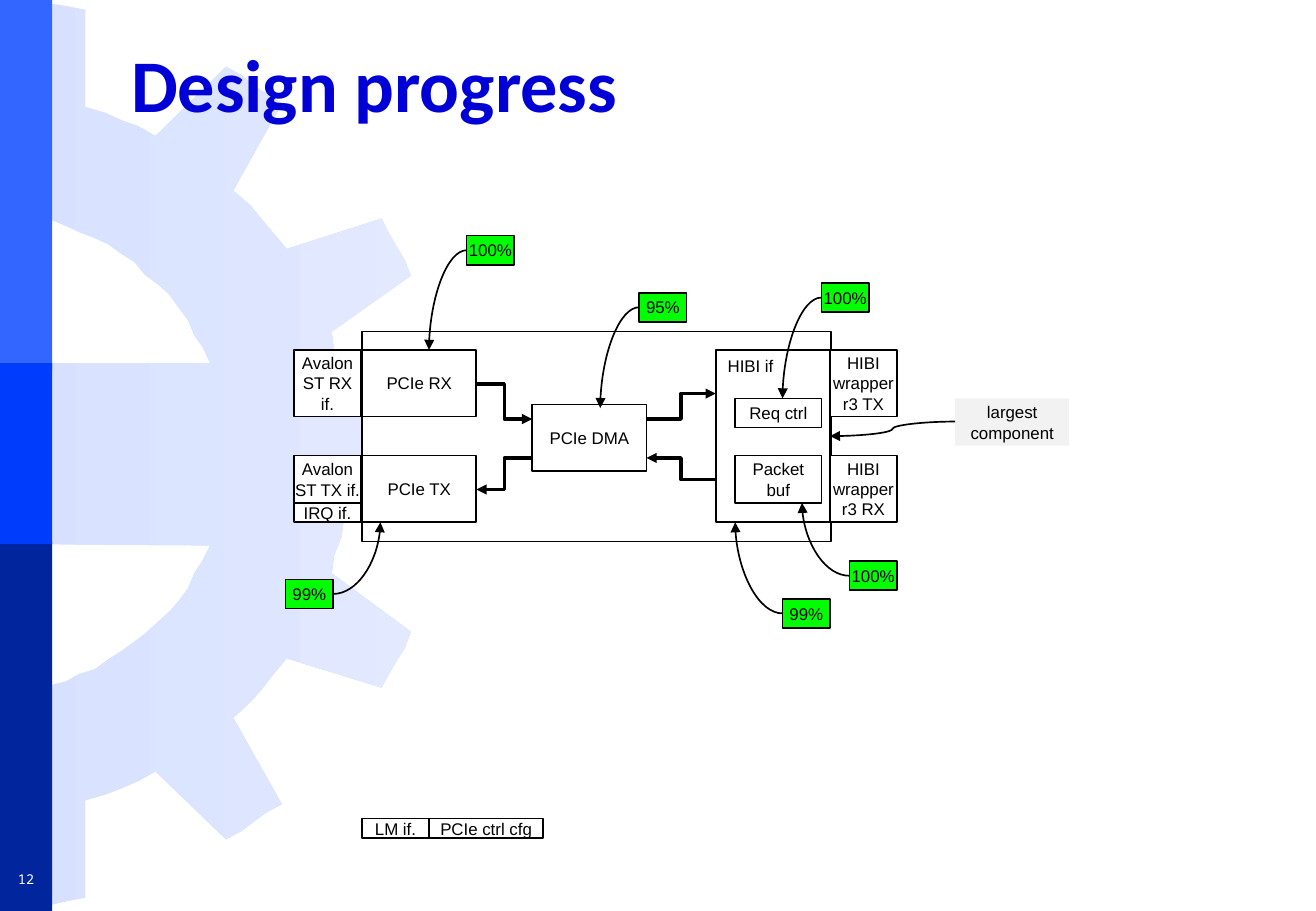
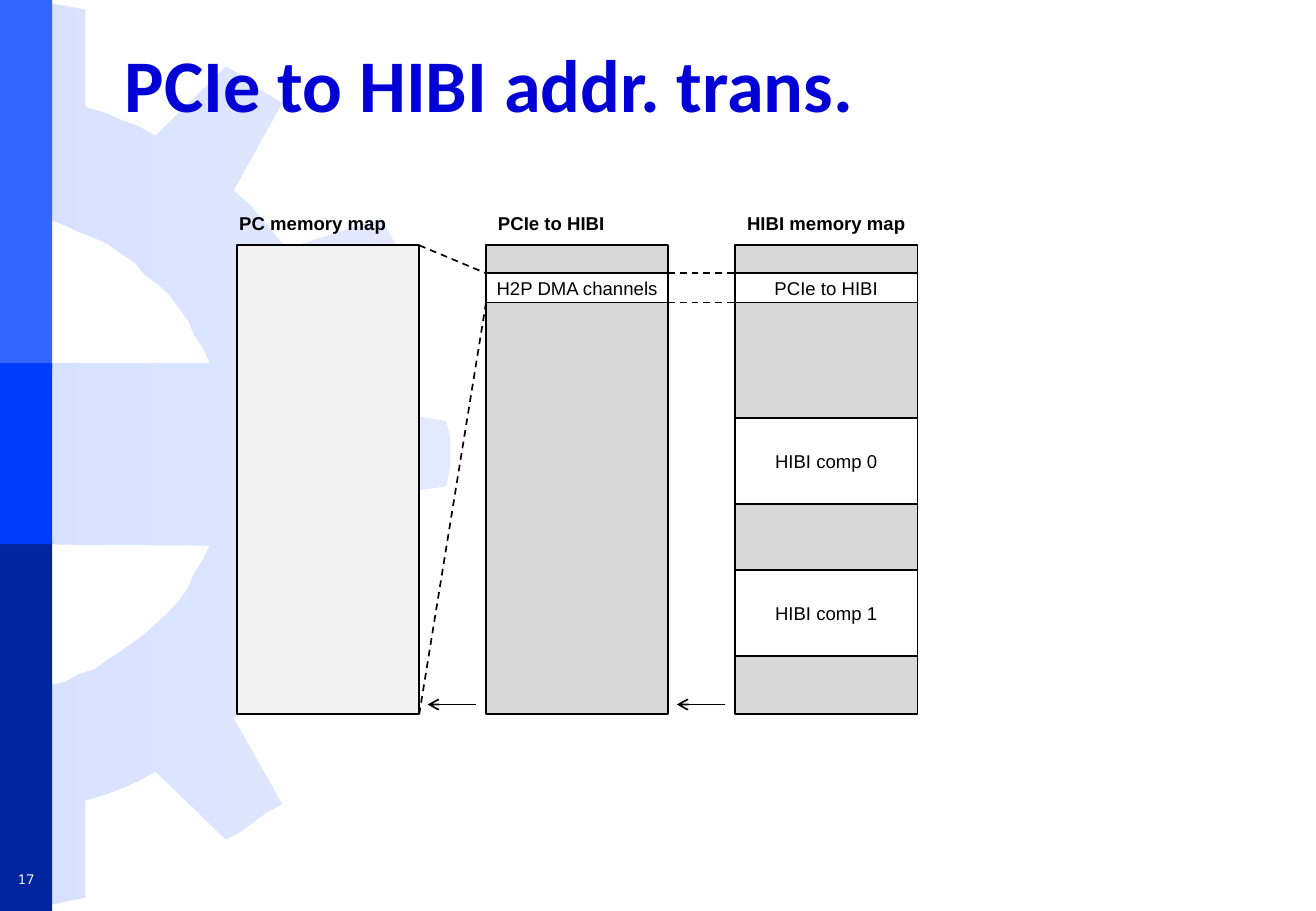
from dataclasses import dataclass

from lxml.etree import SubElement
from pptx import Presentation
from pptx.dml.color import RGBColor
from pptx.enum.dml import MSO_LINE
from pptx.enum.shapes import MSO_CONNECTOR, MSO_SHAPE
from pptx.enum.text import MSO_ANCHOR as Anchor, PP_ALIGN as Align
from pptx.oxml.ns import qn
from pptx.util import Pt

PX = 9144  # EMU in one px: 100 px to the inch


@dataclass(frozen=True)
class Theme:
    black: str = "000000"
    white: str = "FFFFFF"
    title: str = "0000D6"
    band_top: str = "3366FF"
    band_middle: str = "003CFC"
    band_bottom: str = "00259C"
    gear_left: str = "D7E1FF"
    gear_right: str = "E3EAFF"
    done: str = "00FF00"
    pale: str = "F2F2F2"
    grey: str = "D9D9D9"
    body_font: str = "Arial"
    title_font: str = "Calibri"
    number_font: str = "Noto Sans Mono"
    title_size: int = 44
    map_size: int = 11
    block_size: int = 10
    number_size: int = 8


theme = Theme()


def add_box(slide, text, at, fill=None, line=None, size=theme.block_size, font=theme.body_font,
            color=theme.black, bold=False, align=Align.CENTER, anchor=Anchor.MIDDLE,
            inset=(10, 5), wrap=True):
    """Add a rectangle with text; without fill and line it is a text box."""
    bounds = [value * PX for value in at]
    if fill or line:
        shape = slide.shapes.add_shape(MSO_SHAPE.RECTANGLE, *bounds)
        shape.shadow.inherit = False
        shape.fill.solid()
        shape.fill.fore_color.rgb = RGBColor.from_string(fill)
        if line:
            shape.line.color.rgb = RGBColor.from_string(line)
            shape.line.width = Pt(1)
        else:
            shape.line.fill.background()
    else:
        shape = slide.shapes.add_textbox(*bounds)
    if not text:
        return
    frame = shape.text_frame
    frame.word_wrap = wrap
    frame.vertical_anchor = anchor
    frame.margin_left = frame.margin_right = inset[0] * PX
    frame.margin_top = frame.margin_bottom = inset[1] * PX
    paragraph = frame.paragraphs[0]
    paragraph.alignment = align
    run = paragraph.add_run()
    run.text = text
    run.font.name = font
    run.font.size = Pt(size)
    run.font.bold = bold
    run.font.color.rgb = RGBColor.from_string(color)


def add_line(slide, start, end, preset="line", width=1, head=None, dashed=False):
    """Add a connector of the given preset, with an optional arrowhead at its end."""
    connector = slide.shapes.add_connector(
        MSO_CONNECTOR.STRAIGHT, *[value * PX for value in (*start, *end)])
    connector.line.color.rgb = RGBColor.from_string(theme.black)
    connector.line.width = Pt(width)
    if dashed:
        connector.line.dash_style = MSO_LINE.DASH
    properties = connector._element.spPr
    properties.find(qn("a:prstGeom")).set("prst", preset)
    if end[0] < start[0]:  # a half turn in place of the horizontal flip
        transform = properties.find(qn("a:xfrm"))
        transform.attrib.pop("flipH", None)
        transform.set("rot", "10800000")
        transform.set("flipV", "1" if end[1] > start[1] else "0")
    if head:
        SubElement(properties.find(qn("a:ln")), qn("a:tailEnd"), type=head)
    SubElement(properties, qn("a:effectLst"))


presentation = Presentation()
presentation.slide_width = 1083 * PX
presentation.slide_height = 750 * PX

# Shared parts: gear, side bands, title, slide number
gear = [
    (173, 299), (0, 299), (0, 448), (173, 449), (167, 461), (160, 472), (155, 484), (147, 495),
    (139, 504), (130, 512), (119, 522), (111, 528), (100, 536), (89, 543), (78, 551), (65, 555),
    (54, 561), (42, 564), (28, 568), (14, 570), (14, 749), (29, 746), (42, 745), (55, 742),
    (70, 739), (70, 659), (87, 654), (100, 649), (114, 643), (128, 635), (186, 691), (199, 684),
    (208, 677), (219, 669), (232, 662), (192, 591), (206, 578), (215, 568), (225, 555), (236, 542),
    (314, 566), (320, 555), (327, 543), (333, 534), (338, 520), (273, 472), (275, 457), (281, 442),
    (282, 435), (283, 427), (286, 412), (367, 400), (370, 385), (370, 373), (370, 359), (367, 347),
    (286, 334), (283, 320), (281, 305), (275, 291), (273, 273), (338, 227), (333, 214), (327, 204),
    (320, 192), (314, 180), (236, 205), (225, 192), (215, 180), (206, 169), (192, 157), (232, 85),
    (219, 77), (208, 70), (199, 62), (186, 55), (128, 112), (114, 104), (100, 99), (87, 93),
    (70, 88), (70, 8), (55, 5), (42, 3), (29, 1), (14, 0), (14, 176), (28, 180), (42, 181),
    (54, 186), (65, 191), (78, 196), (89, 201), (100, 209), (111, 216), (119, 226), (130, 234),
    (139, 242), (147, 253), (155, 264), (160, 276), (167, 286),
]
bands = [(0, 305, theme.band_top), (446, 304, theme.band_bottom), (299, 149, theme.band_middle)]

slides = []
for title, title_left, number in [("Design progress", 98, "12"),
                                  ("PCIe to HIBI addr. trans.", 93, "17")]:
    slide = presentation.slides.add_slide(presentation.slide_layouts[6])
    slides.append(slide)
    builder = slide.shapes.build_freeform(*gear[0], scale=PX)
    builder.add_line_segments(gear[1:], close=True)
    shape = builder.convert_to_shape()
    shape.shadow.inherit = False
    shape.line.fill.background()
    shape.fill.gradient()
    shape.fill.gradient_angle = 0
    for stop, position, color in zip(shape.fill.gradient_stops, (0, 1),
                                     (theme.gear_left, theme.gear_right)):
        stop.position = position
        stop.color.rgb = RGBColor.from_string(color)
    for top, height, color in bands:
        add_box(slide, "", (0, top, 43, height), fill=color)
    add_box(slide, title, (title_left, 21, 939, 94), size=theme.title_size, bold=True,
            font=theme.title_font, color=theme.title, align=Align.LEFT)
    add_box(slide, number, (0, 711, 43, 26), size=theme.number_size,
            font=theme.number_font, color=theme.white, wrap=False)

progress, memory = slides

# Design progress: blocks
add_box(progress, "largest component", (786, 328, 94, 39), fill=theme.pale)
add_box(progress, "", (298, 273, 386, 173), fill=theme.white, line=theme.black)
add_box(progress, "HIBI if", (589, 288, 94, 142), fill=theme.white, line=theme.black,
        align=Align.LEFT, anchor=Anchor.TOP)
for text, *at in [
    ("PCIe RX", 298, 288, 94, 55),
    ("PCIe TX", 298, 375, 94, 55),
    ("PCIe DMA", 438, 333, 94, 55),
    ("Req ctrl", 605, 328, 71, 24),
    ("Packet buf", 605, 375, 71, 39),
]:
    add_box(progress, text, at, fill=theme.white, line=theme.black)

# Design progress: interfaces
for text, *at in [
    ("Avalon ST RX if.", 242, 288, 55, 55),
    ("Avalon ST TX if.", 242, 375, 55, 39),
    ("IRQ if.", 242, 414, 55, 16),
    ("HIBI wrapper r3 TX", 683, 288, 55, 55),
    ("HIBI wrapper r3 RX", 683, 375, 55, 55),
    ("LM if.", 298, 674, 55, 16),
    ("PCIe ctrl cfg", 353, 674, 94, 16),
]:
    add_box(progress, text, at, fill=theme.white, line=theme.black, inset=(0, 0))

# Design progress: data flow
for start, end in [((392, 316), (438, 345)), ((438, 377), (392, 403)),
                   ((532, 345), (589, 324)), ((589, 395), (532, 377))]:
    add_line(progress, start, end, preset="bentConnector3", width=2, head="triangle")
add_line(progress, (786, 347), (683, 359), preset="curvedConnector3", head="triangle")

# Design progress: badges, each pointing at its block
badge_width, badge_height = 39, 24
for text, left, top, tip in [
    ("100%", 676, 233, (644, 328)),
    ("100%", 699, 462, (660, 414)),
    ("99%", 235, 477, (313, 430)),
    ("100%", 384, 194, (353, 288)),
    ("95%", 526, 241, (494, 336)),
    ("99%", 644, 493, (605, 430)),
]:
    add_box(progress, text, (left, top, badge_width, badge_height),
            fill=theme.done, line=theme.black, inset=(0, 5))
    side = left if tip[0] < left else left + badge_width
    add_line(progress, (side, top + badge_height // 2), tip,
             preset="curvedConnector2", head="triangle")

# Address translation: three memory columns
column_width, column_top, column_height = 150, 202, 386
column_bottom = column_top + column_height
pc_left, pcie_left, hibi_left = [195 + 205 * index for index in range(3)]
for heading, heading_left, left, color in [
    ("PC memory map", 187, pc_left, theme.pale),
    ("PCIe to HIBI", 400, pcie_left, theme.grey),
    ("HIBI memory map", 605, hibi_left, theme.grey),
]:
    add_box(memory, heading, (heading_left, 170, 164, 24), size=theme.map_size, bold=True,
            align=Align.LEFT, anchor=Anchor.TOP)
    add_box(memory, "", (left, column_top, column_width, column_height),
            fill=color, line=theme.black)

# Address translation: mapped regions
window_top, window_height = 225, 24
window_bottom = window_top + window_height
for text, left, top, height in [
    ("H2P DMA channels", pcie_left, window_top, window_height),
    ("PCIe to HIBI", hibi_left, window_top, window_height),
    ("HIBI comp 0", hibi_left, 344, 71),
    ("HIBI comp 1", hibi_left, 469, 71),
]:
    add_box(memory, text, (left, top, column_width, height), fill=theme.white,
            line=theme.black, size=theme.map_size, wrap=False)

# Address translation: projections and direction arrows
for left, source_edges in [(pcie_left, (column_top, column_bottom)),
                           (hibi_left, (window_top, window_bottom))]:
    for source, target in zip(source_edges, (window_top, window_bottom)):
        add_line(memory, (left - 55, source), (left, target), dashed=True)
    add_line(memory, (left - 8, 580), (left - 48, 580), head="arrow")

presentation.save("out.pptx")
